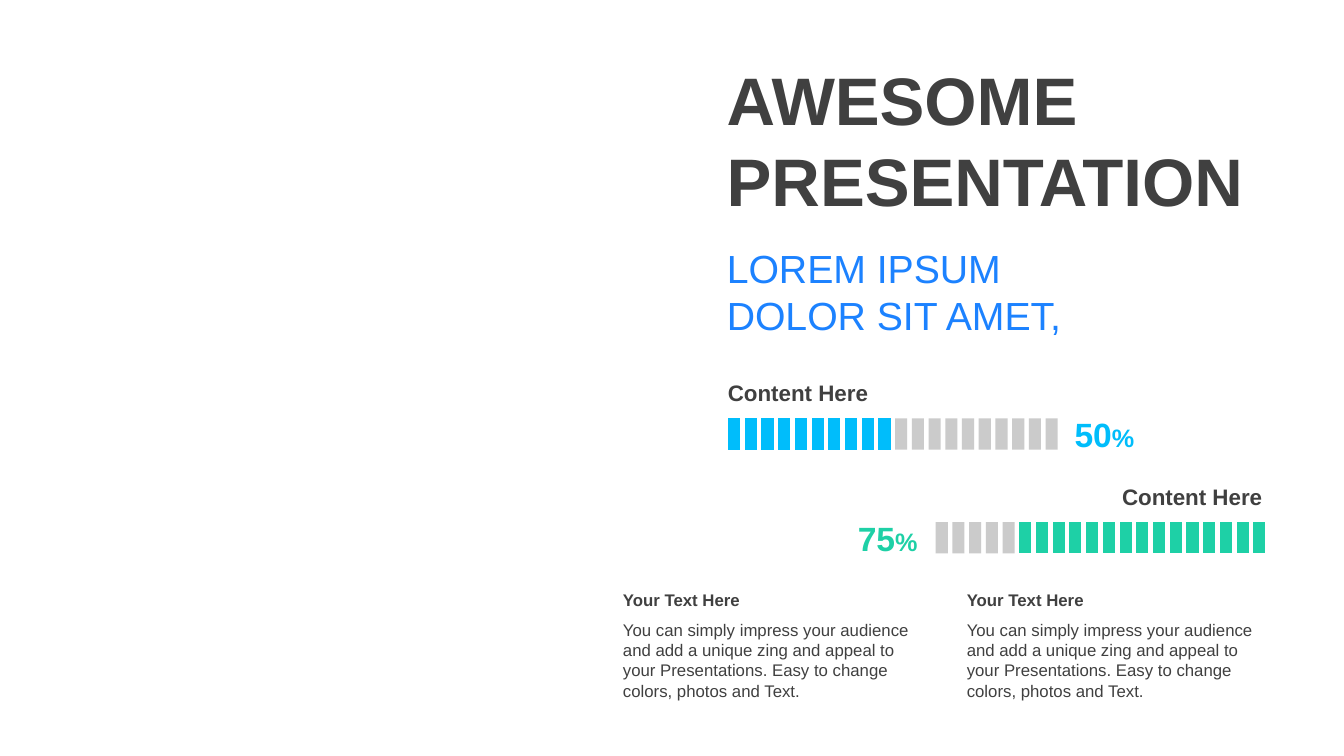
from lxml import etree
from pptx import Presentation
from pptx.dml.color import RGBColor
from pptx.enum.shapes import MSO_SHAPE
from pptx.enum.text import MSO_ANCHOR, MSO_AUTO_SIZE, PP_ALIGN
from pptx.oxml.ns import qn
from pptx.util import Inches, Pt

BLOCK = MSO_SHAPE.FLOWCHART_PROCESS
TOP, MIDDLE = MSO_ANCHOR.TOP, MSO_ANCHOR.MIDDLE
LEFT, RIGHT = PP_ALIGN.LEFT, PP_ALIGN.RIGHT
FIT = MSO_AUTO_SIZE.SHAPE_TO_FIT_TEXT

DARK, BLUE, CYAN, GREEN, GREY = "404040", "1C82FF", "00BDFB", "1ED0A6", "BFBFBF"
BLOCKS = 20
BLOCK_W, BLOCK_H = 0.12, 0.31
PITCH = 3.15 / (BLOCKS - 1)
BODY = ("You can simply impress your audience and add a unique zing and appeal to "
        "your Presentations. Easy to change colors, photos and Text.")


def rgb(color):
    return RGBColor.from_string(color)


def add_text(shapes, box, lines, size, color, bold=False, anchor=MIDDLE,
             wrap=True, align=LEFT):
    """Add a text box with one paragraph per line and return its text frame."""
    tf = shapes.add_textbox(*map(Inches, box)).text_frame
    tf.word_wrap = wrap
    tf.auto_size = FIT
    tf.vertical_anchor = anchor
    for i, line in enumerate(lines):
        p = tf.add_paragraph() if i else tf.paragraphs[0]
        p.text = line
        p.alignment = align
        p.font.name = "Arial"
        p.font.size = Pt(size)
        p.font.bold = bold
        p.font.color.rgb = rgb(color)
    return tf


prs = Presentation()
prs.slide_width, prs.slide_height = Inches(13.33), Inches(7.5)
s = prs.slides.add_slide(prs.slide_layouts[6])

add_text(s.shapes, (7.11, 0.52, 5.54, 1.72), ["AWESOME", "PRESENTATION"],
         48, DARK, bold=True)
add_text(s.shapes, (7.11, 2.37, 5.52, 1.04), ["LOREM IPSUM", "DOLOR SIT AMET,"],
         28, BLUE)

# Progress bars: label x, label y, first block x, direction, filled blocks,
# colour, percentage, percentage x, percentage alignment
bars = [
    (7.12, 3.71, 7.22, 1, 10, CYAN, "50", 10.56, LEFT),
    (11.03, 4.74, 12.43, -1, 15, GREEN, "75", 8.4, RIGHT),
]
for label_x, y, start_x, step, filled, color, percent, percent_x, align in bars:
    add_text(s.shapes, (label_x, y, 1.61, 0.37), ["Content Here"], 16, DARK,
             bold=True, wrap=False)
    bar = s.shapes.add_group_shape()
    for i in range(BLOCKS):
        sp = bar.shapes.add_shape(BLOCK, Inches(start_x + step * i * PITCH),
                                  Inches(y + 0.44), Inches(BLOCK_W), Inches(BLOCK_H))
        sp.shadow.inherit = False
        sp.line.fill.background()
        sp.fill.solid()
        sp.fill.fore_color.rgb = rgb(color if i < filled else GREY)
        if i >= filled:
            clr = sp.fill._xPr.find(qn("a:solidFill"))[0]
            etree.SubElement(clr, qn("a:alpha"), val="80000")
    tf = add_text(s.shapes, (percent_x, y + 0.35, 0.8, 0.5), [percent], 24, color,
                  bold=True, wrap=False, align=align)
    r = tf.paragraphs[0].add_run()
    r.text = "%"
    r.font.size = Pt(18)

for x in (6.08, 9.49):
    column = s.shapes.add_group_shape()
    add_text(column.shapes, (x, 6.1, 3.15, 0.91), [BODY], 12, DARK, anchor=TOP)
    add_text(column.shapes, (x, 5.8, 3.12, 0.3), ["Your Text Here"], 12, DARK,
             bold=True, anchor=TOP)

prs.save("out.pptx")
